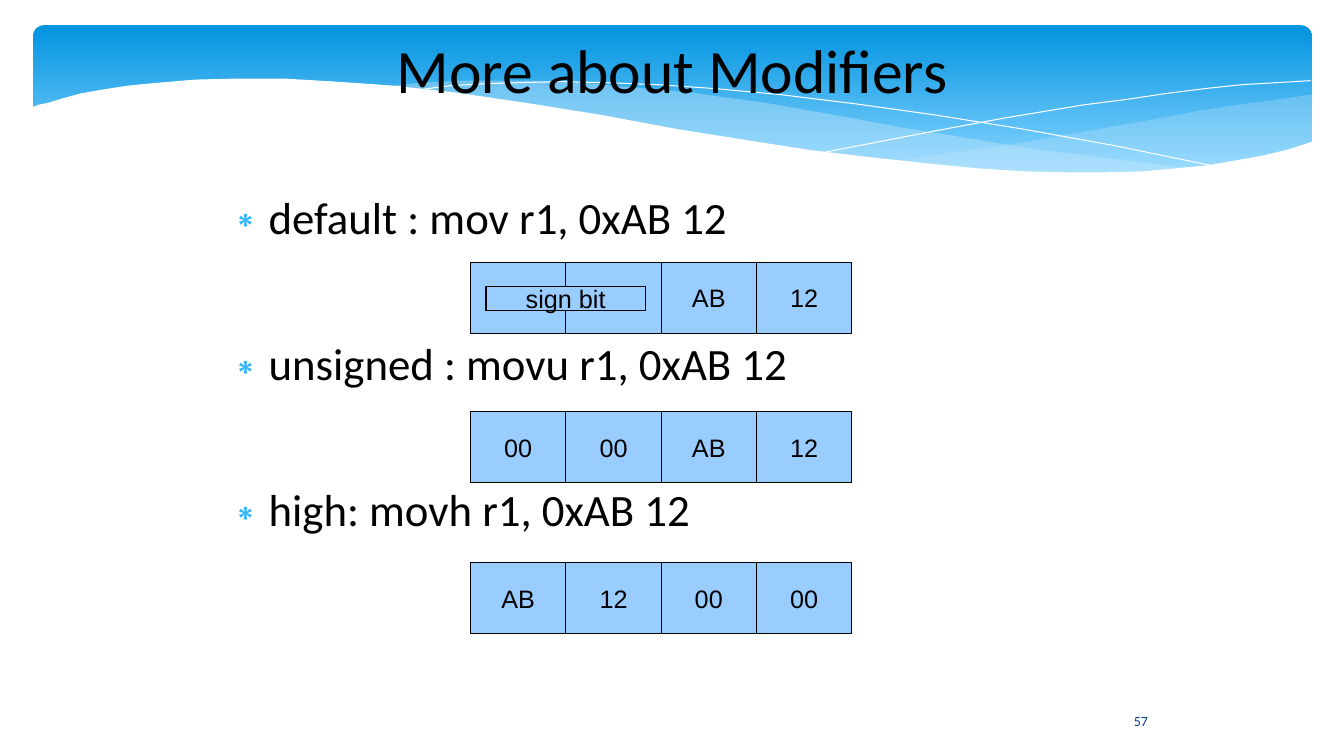
"""Builds a slide on the move-instruction modifiers and the register bytes they give."""
from lxml import etree
from pptx import Presentation
from pptx.dml.color import RGBColor
from pptx.enum.shapes import MSO_SHAPE
from pptx.enum.text import MSO_ANCHOR, MSO_AUTO_SIZE, PP_ALIGN
from pptx.oxml.ns import qn
from pptx.util import Pt

EMU_PER_PX = 9144
RECTANGLE = MSO_SHAPE.RECTANGLE
ROUNDED = MSO_SHAPE.ROUNDED_RECTANGLE
MIDDLE, TOP = MSO_ANCHOR.MIDDLE, MSO_ANCHOR.TOP
CENTER, LEFT = PP_ALIGN.CENTER, PP_ALIGN.LEFT
NO_FIT = MSO_AUTO_SIZE.NONE

BLACK = RGBColor(0x00, 0x00, 0x00)
WHITE = RGBColor(0xFF, 0xFF, 0xFF)
BANNER_TOP = RGBColor(0x02, 0x93, 0xE0)
BANNER_BOTTOM = RGBColor(0x83, 0xD3, 0xFE)
WAVE = RGBColor(0xC6, 0xE7, 0xFC)
CELL = RGBColor(0x99, 0xCC, 0xFF)
BULLET = RGBColor(0x31, 0xB6, 0xFD)
NUMBER = RGBColor(0x07, 0x3E, 0x87)

RIGHT_WAVE = [
    (1300, 94), (1265, 99), (1227, 104), (1188, 110), (1147, 118), (1073, 131),
    (1005, 143), (941, 152), (882, 160), (921, 164), (958, 167), (993, 169),
    (1025, 171), (1056, 172), (1085, 172), (1113, 172), (1138, 170), (1163, 169),
    (1186, 166), (1207, 163), (1228, 160), (1247, 156), (1266, 152), (1284, 147),
    (1301, 142), (1301, 94)]
LEFT_WAVE = [
    (1190, 167), (1154, 164), (1116, 159), (1076, 154), (1034, 149), (989, 142),
    (941, 134), (891, 126), (839, 116), (798, 109), (759, 102), (721, 97),
    (686, 92), (652, 89), (619, 86), (589, 83), (560, 82), (532, 80), (506, 80),
    (459, 80), (418, 82), (382, 86), (431, 90), (483, 97), (539, 106), (599, 116),
    (654, 126), (706, 135), (755, 143), (802, 150), (846, 156), (887, 161),
    (926, 165), (963, 168), (998, 170), (1030, 172), (1061, 173), (1090, 173),
    (1118, 172), (1143, 171), (1167, 169)]
FALLING_LINE = [
    (412, 90), (424, 88), (447, 85), (484, 83), (516, 82), (555, 81), (600, 82),
    (652, 84), (710, 88), (775, 94), (848, 103), (927, 114), (1014, 128),
    (1108, 145), (1210, 166)]
RISING_LINE = [
    (818, 151), (870, 141), (927, 130), (997, 117), (1075, 104), (1115, 99),
    (1155, 93), (1194, 88), (1232, 84), (1267, 82), (1300, 80)]
WHITE_SWEEP = [
    (1303, 140), (1279, 148), (1254, 154), (1227, 159), (1198, 164), (1167, 167),
    (1134, 170), (1097, 171), (1058, 171), (1015, 170), (969, 167), (918, 162),
    (863, 156), (804, 149), (740, 139), (671, 128), (596, 114), (521, 102),
    (453, 92), (390, 85), (333, 81), (282, 78), (235, 78), (194, 79), (158, 82),
    (127, 85), (101, 89), (79, 93), (61, 98), (48, 102), (38, 104), (31, 107),
    (31, 224), (1303, 224)]

MODIFIERS = [
    "default : mov r1, 0xAB 12",
    "unsigned : movu r1, 0xAB 12",
    "high: movh r1, 0xAB 12"]
REGISTERS = [
    (260, ["", "", "AB", "12"]),
    (408, ["00", "00", "AB", "12"]),
    (558, ["AB", "12", "00", "00"])]
REGISTER_LEFT, REGISTER_WIDTH, CELL_HEIGHT = 467, 378, 71


def px(length):
    """Turn pixels into EMU."""
    return length * EMU_PER_PX


def place(shape, left, top, width, height):
    """Move and size a shape."""
    shape.left, shape.top = px(left), px(top)
    shape.width, shape.height = px(width), px(height)


def write(box, text, size, font, color=BLACK, align=CENTER, anchor=MIDDLE):
    """Put formatted text into a shape."""
    frame = box.text_frame
    frame.text = text
    frame.vertical_anchor = anchor
    frame.auto_size = NO_FIT
    for para in frame.paragraphs:
        para.alignment = align
        for span in para.runs:
            span.font.size = Pt(size)
            span.font.name = font
            span.font.color.rgb = color


def clear_margins(box):
    """Remove the inner margins of a text shape."""
    frame = box.text_frame
    frame.margin_left = frame.margin_top = 0
    frame.margin_right = frame.margin_bottom = 0


def add_bullet(para):
    """Give a paragraph a hanging, coloured asterisk."""
    properties = para._p.get_or_add_pPr()
    properties.set("marL", str(px(47)))
    properties.set("indent", str(px(-35)))
    color = etree.SubElement(properties, qn("a:buClr"))
    etree.SubElement(color, qn("a:srgbClr"), val=str(BULLET))
    etree.SubElement(properties, qn("a:buChar"), char="∗")


def draw_outline(page, points, closed):
    """Draw a freeform through the points."""
    builder = page.shapes.build_freeform(*points[0], scale=EMU_PER_PX)
    builder.add_line_segments(points[1:], close=closed)
    outline = builder.convert_to_shape()
    outline.shadow.inherit = False
    return outline


def add_wave(page, points, color, opacity=100):
    """Draw a filled wave, see-through below full opacity."""
    wave = draw_outline(page, points, True)
    wave.line.fill.background()
    wave.fill.solid()
    wave.fill.fore_color.rgb = color
    if opacity < 100:
        tint = wave.element.spPr.find(qn("a:solidFill")).find(qn("a:srgbClr"))
        etree.SubElement(tint, qn("a:alpha"), val=str(opacity * 1000))


def add_hairline(page, points):
    """Draw a thin white curve."""
    curve = draw_outline(page, points, False)
    curve.fill.background()
    curve.line.color.rgb = WHITE
    curve.line.width = Pt(0)


def add_banner(page):
    """Draw the gradient banner with its waves."""
    banner = page.shapes.add_shape(ROUNDED, px(33), px(25), px(1268), px(156))
    banner.adjustments[0] = 0.07
    banner.shadow.inherit = False
    banner.line.fill.background()
    banner.fill.gradient()
    banner.fill.gradient_angle = 270
    stops = banner.fill.gradient_stops
    for stop, position, color in zip(stops, (0, 0.9), (BANNER_TOP, BANNER_BOTTOM)):
        stop.position = position
        stop.color.rgb = color
    add_wave(page, RIGHT_WAVE, WAVE, 29)
    add_wave(page, LEFT_WAVE, WAVE, 40)
    add_hairline(page, FALLING_LINE)
    add_hairline(page, RISING_LINE)
    add_wave(page, WHITE_SWEEP, WHITE)


def fill_placeholders(page):
    """Set the title and the bulleted list in front of the banner."""
    title, body = page.shapes.title, page.placeholders[1]
    place(title, 192, 17, 950, 102)
    write(title, "More about Modifiers", 44, "Calibri")
    place(body, 210, 188, 932, 409)
    write(body, "\n".join(MODIFIERS), 32, "Calibri", align=LEFT, anchor=TOP)
    for para in body.text_frame.paragraphs:
        add_bullet(para)
        para.space_before = Pt(0)
        para.space_after = Pt(66)
    for box in (title, body):
        clear_margins(box)
        page.shapes.element.append(box.element)


def add_cell(page, left, top, width, height, text):
    """Draw one outlined cell."""
    cell = page.shapes.add_shape(RECTANGLE, px(left), px(top), px(width), px(height))
    cell.shadow.inherit = False
    cell.fill.solid()
    cell.fill.fore_color.rgb = CELL
    cell.line.color.rgb = BLACK
    cell.line.width = Pt(0)
    if text:
        write(cell, text, 18, "Arial")
        cell.text_frame.word_wrap = False


def add_register(page, top, values):
    """Draw a register as a row of equal bytes."""
    edges = [REGISTER_LEFT + REGISTER_WIDTH * i // len(values)
             for i in range(len(values) + 1)]
    for left, right, value in zip(edges, edges[1:], values):
        add_cell(page, left, top, right - left, CELL_HEIGHT, value)


def main():
    """Build and save the slide."""
    deck = Presentation()
    deck.slide_width, deck.slide_height = px(1333), px(750)
    page = deck.slides.add_slide(deck.slide_layouts[1])
    add_banner(page)
    number = page.shapes.add_textbox(px(1101), px(695), px(61), px(40))
    write(number, "57", 10, "Calibri", NUMBER)
    fill_placeholders(page)
    for top, values in REGISTERS:
        add_register(page, top, values)
    add_cell(page, 482, 284, 158, 24, "sign bit")
    deck.save("out.pptx")


if __name__ == "__main__":
    main()
